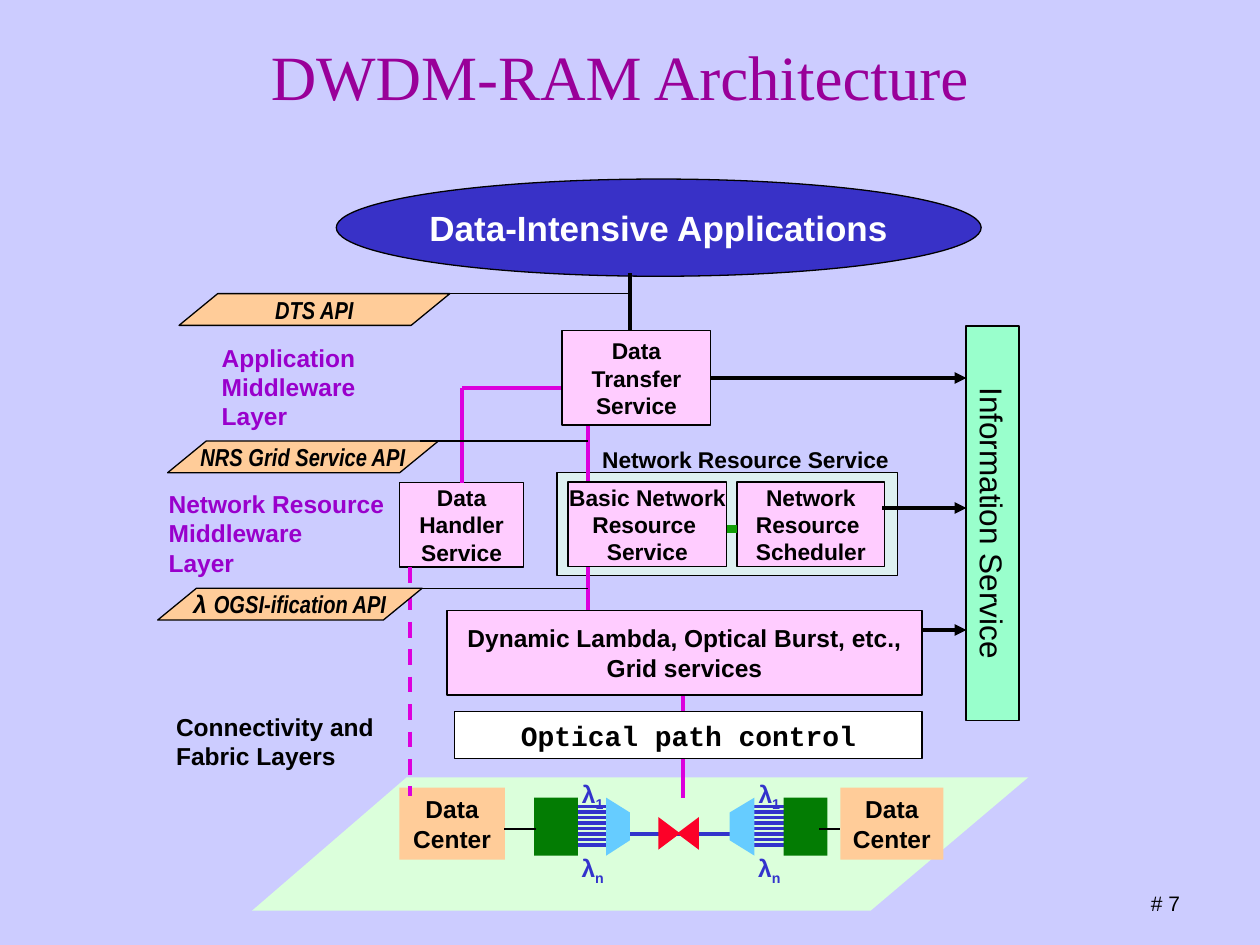
from dataclasses import dataclass

from lxml.etree import SubElement
from pptx import Presentation
from pptx.dml.color import RGBColor
from pptx.enum.dml import MSO_LINE
from pptx.enum.shapes import MSO_CONNECTOR as Conn, MSO_SHAPE as Shp
from pptx.enum.text import MSO_ANCHOR as Anchor, PP_ALIGN as Align
from pptx.oxml.ns import qn
from pptx.util import Cm, Pt

COLORS = {
    "background": "CCCCFF", "title": "990099", "layer": "9900CC",
    "black": "000000", "white": "FFFFFF", "app": "3831C7",
    "service": "FFCCFF", "frame": "DDF0F1", "info": "99FFCC",
    "api": "FFCC99", "floor": "DBFFDB", "lambda": "3333CC",
    "mux": "66CCFF", "switch": "FC0128", "device": "037C03",
    "flow": "DC00DC", "link": "119E06",
}


@dataclass
class Font:
    size: float
    color: str = "black"
    name: str = "Arial"
    bold: bool = True
    italic: bool = False


@dataclass
class Box:
    x: float
    y: float
    w: float
    h: float
    fill: str
    text: str = ""
    font: Font | None = None
    kind: Shp = Shp.RECTANGLE
    outline: bool = True
    rotation: float = 0
    wrap: bool = False


@dataclass
class Label:
    x: float
    y: float
    w: float
    h: float
    text: str
    font: Font
    align: Align = Align.LEFT


@dataclass
class Line:
    x1: float
    y1: float
    x2: float
    y2: float
    color: str = "black"
    width: float = 2.25
    arrow: bool = False
    dash: bool = False


@dataclass
class Api:
    x: float
    y: float
    w: float
    text: str
    line_from: float
    line_to: float
    prefix: str = ""


@dataclass
class Mux:
    device_x: float
    fibre_x: tuple[float, float]
    wide_x: float
    narrow_x: float
    label_x: float


def rgb(name: str) -> RGBColor:
    return RGBColor.from_string(COLORS[name])


def style(p, font: Font, align: Align) -> None:
    p.alignment = align
    f = p.font
    f.size, f.name, f.bold, f.italic = Pt(font.size), font.name, font.bold, font.italic
    f.color.rgb = rgb(font.color)


def write(tf, text: str, font: Font, align: Align) -> None:
    for i, line in enumerate(text.split("\n")):
        p = tf.add_paragraph() if i else tf.paragraphs[0]
        p.add_run().text = line
        style(p, font, align)


def paint(sp, fill: str, outline: bool = False) -> None:
    sp.shadow.inherit = False
    sp.fill.solid()
    sp.fill.fore_color.rgb = rgb(fill)
    if outline:
        sp.line.color.rgb, sp.line.width = rgb("black"), Pt(0.75)
    else:
        sp.line.fill.background()


def draw_box(s, b: Box):
    sp = s.shapes.add_shape(b.kind, Cm(b.x), Cm(b.y), Cm(b.w), Cm(b.h))
    paint(sp, b.fill, b.outline)
    sp.rotation = b.rotation
    tf = sp.text_frame
    tf.word_wrap, tf.vertical_anchor = b.wrap, Anchor.MIDDLE
    if b.text:
        write(tf, b.text, b.font, Align.CENTER)
    return sp


def draw_label(s, lb: Label):
    tf = s.shapes.add_textbox(Cm(lb.x), Cm(lb.y), Cm(lb.w), Cm(lb.h)).text_frame
    tf.word_wrap = True
    write(tf, lb.text, lb.font, lb.align)
    return tf


def draw_line(s, ln: Line) -> None:
    c = s.shapes.add_connector(Conn.STRAIGHT, Cm(ln.x1), Cm(ln.y1), Cm(ln.x2), Cm(ln.y2))
    c.line.color.rgb, c.line.width = rgb(ln.color), Pt(ln.width)
    if ln.dash:
        c.line.dash_style = MSO_LINE.DASH
    if ln.arrow:
        SubElement(c.line._get_or_add_ln(), qn("a:tailEnd"), type="triangle")
    SubElement(c._element.spPr, qn("a:effectLst"))


def draw_polygon(s, points: list[tuple[float, float]], fill: str) -> None:
    start, *rest = [(Cm(x), Cm(y)) for x, y in points]
    fb = s.shapes.build_freeform(*start)
    fb.add_line_segments(rest, close=True)
    paint(fb.convert_to_shape(), fill)


def draw_api(s, a: Api) -> None:
    font = Font(14, name="Arial Narrow", italic=True)
    sp = draw_box(s, Box(a.x, a.y, a.w, 0.64, "api", a.prefix + a.text, font, Shp.PARALLELOGRAM))
    sp.adjustments[0] = 1.22
    if a.prefix:
        p = sp.text_frame.paragraphs[0]
        p.runs[0].text = a.prefix
        p.runs[0].font.name = "Arial"
        p.add_run().text = a.text
    draw_line(s, Line(a.line_from, a.y, a.line_to, a.y, width=0.75))


def draw_mux(s, m: Mux) -> None:
    for i in range(8):
        y = 16.26 + 0.11 * i
        draw_line(s, Line(m.fibre_x[0], y, m.fibre_x[1], y, "lambda", 2))
    for y, index in ((15.57, "1"), (17.07, "n")):
        tf = draw_label(s, Label(m.label_x, y, 0.9, 0.9, "λ", Font(14, "lambda"), Align.CENTER))
        tf.margin_left = tf.margin_right = 0
        r = tf.paragraphs[0].add_run()
        r.text = index
        r._r.get_or_add_rPr().set("baseline", "-25000")
    draw_polygon(s, [(m.wide_x, 16.08), (m.narrow_x, 16.38),
                     (m.narrow_x, 16.94), (m.wide_x, 17.25)], "mux")
    draw_box(s, Box(m.device_x, 16.08, 0.88, 1.17, "device", outline=False))


SERVICE, BODY, LAYER = Font(13), Font(14), Font(14, "layer")

BACK_BOXES = [
    Box(8.05, 15.88, 2.13, 1.45, "api", "Data\nCenter", BODY, outline=False),
    Box(16.94, 15.88, 2.08, 1.45, "api", "Data\nCenter", BODY, outline=False),
    Box(6.78, 3.61, 13, 1.96, "app", "Data-Intensive Applications", Font(20, "white"), Shp.OVAL),
    Box(11.23, 9.53, 6.86, 2.08, "frame"),
    Box(14.86, 9.72, 2.97, 1.7, "service", "Network\nResource \nScheduler", SERVICE),
    Box(8.05, 9.73, 2.51, 1.7, "service", "Data\nHandler\nService", SERVICE),
    Box(16.03, 10.01, 7.95, 1.07, "info", "Information Service", Font(18, bold=False), rotation=90),
]
FRONT_BOXES = [
    Box(9.17, 14.35, 9.42, 0.94, "white", "Optical path control", Font(16, name="Courier New")),
    Box(11.33, 6.67, 3, 1.9, "service", "Data\nTransfer Service", SERVICE, wrap=True),
    Box(9.01, 12.31, 9.58, 1.7, "service",
        "Dynamic Lambda, Optical Burst, etc., Grid services", BODY, wrap=True),
    Box(11.45, 9.72, 3.2, 1.7, "service", "Basic Network\nResource \nService", SERVICE),
]
LABELS = [
    Label(1.7, 0.64, 21.59, 3.18, "DWDM-RAM Architecture",
          Font(36, "title", "Times New Roman", False), Align.CENTER),
    Label(11.89, 8.86, 7.16, 0.81, "Network Resource Service", SERVICE),
    Label(4.22, 6.78, 3.33, 2.03, "Application\nMiddleware\nLayer", LAYER),
    Label(3.15, 9.73, 5.94, 2.03, "Network Resource\nMiddleware\nLayer", LAYER),
    Label(3.3, 14.22, 4.62, 1.45, "Connectivity and\nFabric Layers", BODY),
    Label(21.59, 17.83, 3.81, 0.76, "# 7", Font(12, bold=False), Align.CENTER),
]
LINES = [
    Line(14.66, 10.67, 14.86, 10.67, "link", 4.5),
    # Registration with the information service
    Line(14.22, 7.62, 19.48, 7.62, arrow=True),
    Line(17.78, 10.24, 19.48, 10.24, arrow=True),
    Line(18.29, 12.7, 19.48, 12.7, arrow=True),
    # Data centre links and application link
    Line(10.16, 16.71, 10.8, 16.71, width=0.75),
    Line(16.51, 16.71, 16.94, 16.71, width=0.75),
    Line(12.7, 5.51, 12.7, 7.09),
    # Service flow
    Line(11.86, 8.36, 11.86, 9.7, "flow"),
    Line(9.32, 7.82, 9.32, 9.73, "flow"),
    Line(9.32, 7.82, 11.73, 7.82, "flow"),
    Line(8.26, 11.43, 8.26, 16.05, "flow", dash=True),
    Line(13.77, 13.97, 13.77, 16.08, "flow"),
    Line(11.86, 11.25, 11.86, 12.4, "flow"),
]
APIS = [
    Api(3.18, 11.86, 5.33, "OGSI-ification API", 8.23, 11.86, "λ "),
    Api(3.38, 8.89, 5.46, "NRS Grid Service API", 8.46, 11.86),
    Api(3.61, 5.92, 5.46, "DTS API", 8.89, 12.7),
]
MUXES = [
    Mux(10.77, (11.48, 12.27), 12.22, 12.7, 11.5),
    Mux(15.8, (15.14, 15.98), 15.21, 14.71, 15.06),
]


def main() -> None:
    prs = Presentation()
    prs.slide_width, prs.slide_height = Cm(25.4), Cm(19.05)
    s = prs.slides.add_slide(prs.slide_layouts[6])
    s.background.fill.solid()
    s.background.fill.fore_color.rgb = rgb("background")

    # Optical fabric
    draw_polygon(s, [(8.2, 15.67), (20.73, 15.67), (17.55, 18.36), (5.08, 18.36)], "floor")
    draw_line(s, Line(12.5, 16.81, 14.81, 16.81, "lambda", 2))
    for x, angle in ((13.16, 90), (13.54, 270)):
        draw_box(s, Box(x, 16.58, 0.66, 0.44, "switch", kind=Shp.ISOSCELES_TRIANGLE,
                        outline=False, rotation=angle))

    # Services, flows and interfaces, from back to front
    for draw, items in ((draw_mux, MUXES), (draw_box, BACK_BOXES), (draw_label, LABELS),
                        (draw_line, LINES), (draw_api, APIS), (draw_box, FRONT_BOXES)):
        for item in items:
            draw(s, item)
    prs.save("out.pptx")


if __name__ == "__main__":
    main()
